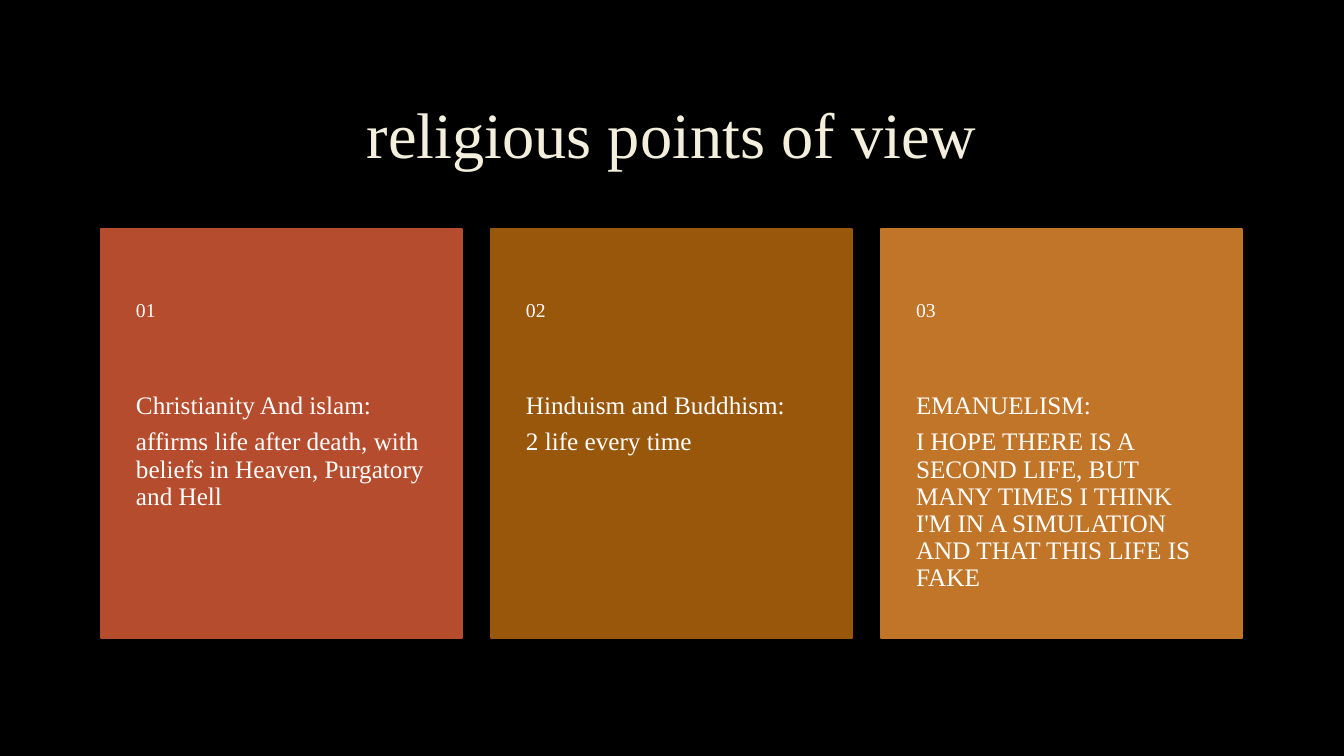
from dataclasses import dataclass

from pptx import Presentation
from pptx.dml.color import RGBColor
from pptx.enum.shapes import MSO_SHAPE
from pptx.enum.text import MSO_ANCHOR, PP_ALIGN
from pptx.util import Emu, Pt

PX = 914400 / 100.8


@dataclass(frozen=True)
class Theme:
    font: str = "Times New Roman"
    background: str = "000000"
    title: str = "F4EEDC"
    text: str = "FFFFFF"
    cards: tuple = ("B54C2D", "99570C", "C17529")
    title_size: float = 46
    body_size: float = 18
    number_size: float = 14
    border: float = 1.25
    line_spacing: float = 0.9
    space_after: float = 0.35


THEME = Theme()

VIEWS = [
    ("Christianity And islam:",
     "affirms life after death, with beliefs in Heaven, Purgatory and Hell"),
    ("Hinduism and Buddhism:", "2 life every time"),
    ("EMANUELISM:",
     "I HOPE THERE IS A SECOND LIFE, BUT MANY TIMES I THINK I'M IN A "
     "SIMULATION AND THAT THIS LIFE IS FAKE"),
]


def px(length):
    return Emu(round(length * PX))


def color(value):
    return RGBColor.from_string(value)


def add_text(shapes, box, lines, size, text_color, insets, anchor,
             alignment=PP_ALIGN.LEFT, space_after=THEME.space_after):
    frame = shapes.add_textbox(*map(px, box)).text_frame
    frame.word_wrap = True
    frame.vertical_anchor = anchor
    (frame.margin_left, frame.margin_top,
     frame.margin_right, frame.margin_bottom) = map(px, insets)
    for index, line in enumerate(lines):
        paragraph = frame.add_paragraph() if index else frame.paragraphs[0]
        paragraph.alignment = alignment
        paragraph.line_spacing = THEME.line_spacing
        paragraph.space_after = Pt(size * space_after)
        run = paragraph.add_run()
        run.text = line
        run.font.name = THEME.font
        run.font.size = Pt(size)
        run.font.color.rgb = color(text_color)


def add_title(slide, box):
    add_text(slide.shapes, box, ["religious points of view"], THEME.title_size,
             THEME.title, (10, 5, 10, 5), MSO_ANCHOR.MIDDLE,
             PP_ALIGN.CENTER, space_after=0)


def add_card(shapes, box, number, lines, fill):
    left, top, width, height = box
    number_height = 164
    panel = shapes.add_shape(MSO_SHAPE.RECTANGLE, *map(px, box))
    panel.shadow.inherit = False
    panel.fill.solid()
    panel.fill.fore_color.rgb = color(fill)
    panel.line.color.rgb = color(fill)
    panel.line.width = Pt(THEME.border)
    add_text(shapes, (left, top + number_height, width, height - number_height),
             lines, THEME.body_size, THEME.text, (35, 0, 35, 36), MSO_ANCHOR.TOP)
    add_text(shapes, (left, top, width, number_height), [f"{number:02}"],
             THEME.number_size, THEME.text, (35, 18, 35, 18), MSO_ANCHOR.MIDDLE)


def add_cards(slide, box):
    left, top, width, height = box
    gap = 29
    card_width = (width - gap * (len(VIEWS) - 1)) // len(VIEWS)
    group = slide.shapes.add_group_shape()
    for index, (lines, fill) in enumerate(zip(VIEWS, THEME.cards)):
        card_left = left + index * (card_width + gap)
        add_card(group.shapes, (card_left, top, card_width, height),
                 index + 1, lines, fill)


def main():
    presentation = Presentation()
    presentation.slide_width = px(1344)
    presentation.slide_height = px(756)
    slide = presentation.slides.add_slide(presentation.slide_layouts[6])
    slide.background.fill.solid()
    slide.background.fill.fore_color.rgb = color(THEME.background)
    add_title(slide, (101, 68, 1141, 139))
    add_cards(slide, (101, 229, 1141, 409))
    presentation.save("out.pptx")


if __name__ == "__main__":
    main()
